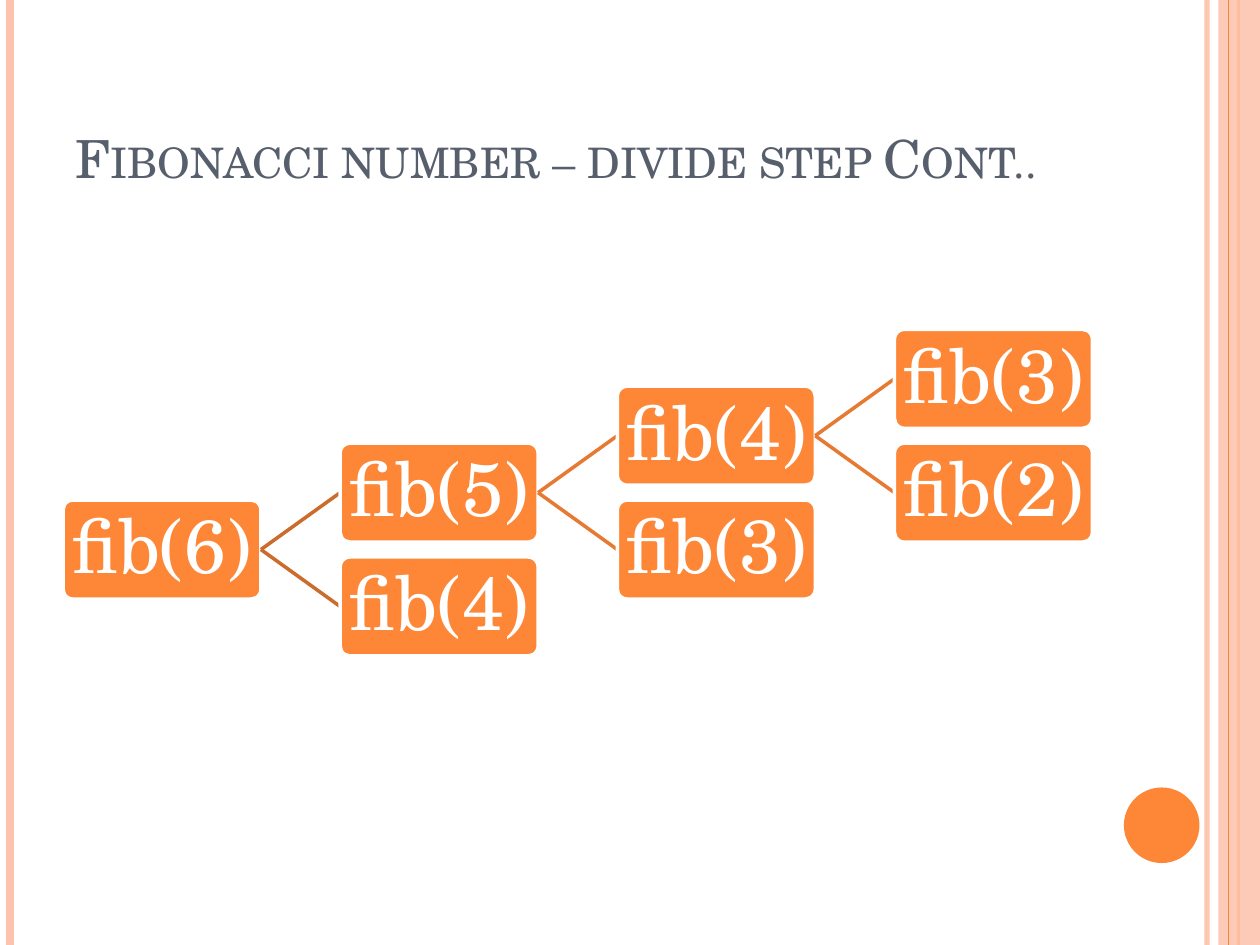
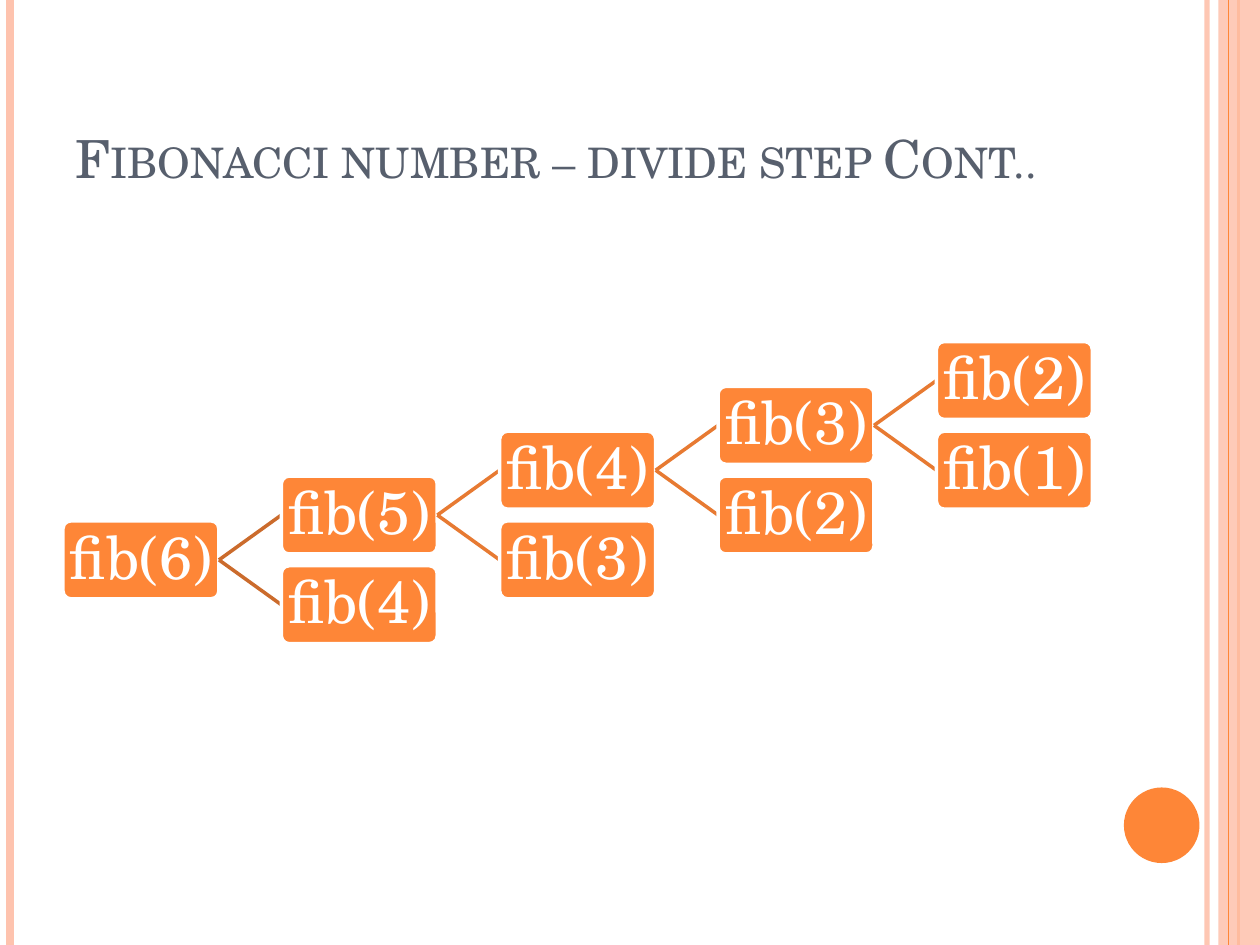
from lxml import etree
from pptx import Presentation
from pptx import util as u
from pptx.dml.color import RGBColor
from pptx.enum import shapes as sh, text as tx
from pptx.oxml import ns

TITLE = "Fibonacci number – divide step Cont.."
ROOT = "fib(6)"
SPLITS = [("fib(5)", "fib(4)"), ("fib(4)", "fib(3)"),
          ("fib(3)", "fib(2)"), ("fib(2)", "fib(1)")]
SLIDES = [{"depth": 3, "size": 43}, {"depth": 4, "size": 34}]


class Theme:
    font = "TeX Gyre Schola"
    accent = "FE8637"
    pale = "FEC3AE"
    ink = "575F6D"
    white = "FFFFFF"
    first = "CB6B2C"
    later = "E77A32"
    title = 30
    edge = 2


RULES = [(9.58, Theme.pale, 3, 93), (0.08, Theme.pale, 4.5, 100),
         (9.83, Theme.accent, 1.5, 100)]
THIN = (9.75, Theme.accent, 0.75, 100)
BAND = (9.67, 0, 0.33, 7.5)
DISC = (8.92, 6.25, 0.6, 0.6)
HEAD = (0.5, 0.3, 8.17, 1.25)
LEFT, SPAN, MID = 0.5, 8.17, 3.91
STEP, TALL, RISE = 1.4, 0.5, 0.2875


def inch(*nums):
    return [u.Inches(n) for n in nums]


def fade(fill, pct):
    if pct < 100:
        color = fill._xPr.find(".//" + ns.qn("a:srgbClr"))
        etree.SubElement(color, ns.qn("a:alpha"), val=str(pct * 1000))


def style(run, size, color):
    run.font.name = Theme.font
    run.font.size = u.Pt(size)
    run.font.color.rgb = RGBColor.from_string(color)


def line(slide, ends, color, width, pct=100):
    item = slide.shapes.add_connector(sh.MSO_CONNECTOR.STRAIGHT, *inch(*ends))
    item.line.color.rgb = RGBColor.from_string(color)
    item.line.width = u.Pt(width)
    fade(item.line.fill, pct)
    etree.SubElement(item._element.spPr, ns.qn("a:effectLst"))


def shape(slide, kind, area, color, pct=100):
    item = slide.shapes.add_shape(kind, *inch(*area))
    item.shadow.inherit = False
    item.fill.solid()
    item.fill.fore_color.rgb = RGBColor.from_string(color)
    fade(item.fill, pct)
    item.line.fill.background()
    return item


def rule(slide, x, color, width, pct):
    line(slide, (x, 0, x, 7.5), color, width, pct)


def frame(slide):
    for row in RULES:
        rule(slide, *row)
    shape(slide, sh.MSO_SHAPE.RECTANGLE, BAND, Theme.pale, 87)
    rule(slide, *THIN)
    shape(slide, sh.MSO_SHAPE.OVAL, DISC, Theme.accent)


def head(slide):
    item = slide.shapes.title
    item.left, item.top, item.width, item.height = inch(*HEAD)
    body = item.text_frame
    body.text = TITLE
    body.word_wrap = True
    body.auto_size = tx.MSO_AUTO_SIZE.NONE
    body.vertical_anchor = tx.MSO_ANCHOR.BOTTOM
    para = body.paragraphs[0]
    para.alignment = tx.PP_ALIGN.LEFT
    run = para.runs[0]
    style(run, Theme.title, Theme.ink)
    run.font._element.set("cap", "small")


def node(slide, label, x, y, wide, size):
    tall = wide * TALL
    area = (x, y - tall / 2, wide, tall)
    item = shape(slide, sh.MSO_SHAPE.ROUNDED_RECTANGLE, area, Theme.accent)
    item.adjustments[0] = 0.1
    item.line.color.rgb = RGBColor.from_string(Theme.white)
    item.line.width = u.Pt(Theme.edge)
    body = item.text_frame
    body.text = label
    body.word_wrap = False
    body.vertical_anchor = tx.MSO_ANCHOR.MIDDLE
    body.margin_left = body.margin_right = u.Inches(0.03)
    body.margin_top = body.margin_bottom = u.Inches(0.03)
    para = body.paragraphs[0]
    para.alignment = tx.PP_ALIGN.CENTER
    para.line_spacing = 0.9
    style(para.runs[0], size, Theme.white)


def tree(slide, depth, size):
    wide = SPAN / (1 + STEP * depth)
    rise = RISE * wide
    x, y = LEFT, MID + rise * (depth - 1) / 2
    node(slide, ROOT, x, y, wide, size)
    for level, pair in enumerate(SPLITS[:depth]):
        color = Theme.later if level else Theme.first
        right = x + STEP * wide
        for label, end in zip(pair, (y - rise, y + rise)):
            line(slide, (x + wide, y, right, end), color, Theme.edge)
            node(slide, label, right, end, wide, size)
        x, y = right, y - rise


def main():
    deck = Presentation()
    deck.slide_width, deck.slide_height = inch(10, 7.5)
    for plan in SLIDES:
        slide = deck.slides.add_slide(deck.slide_layouts[5])
        frame(slide)
        head(slide)
        tree(slide, **plan)
    deck.save("out.pptx")


if __name__ == "__main__":
    main()
